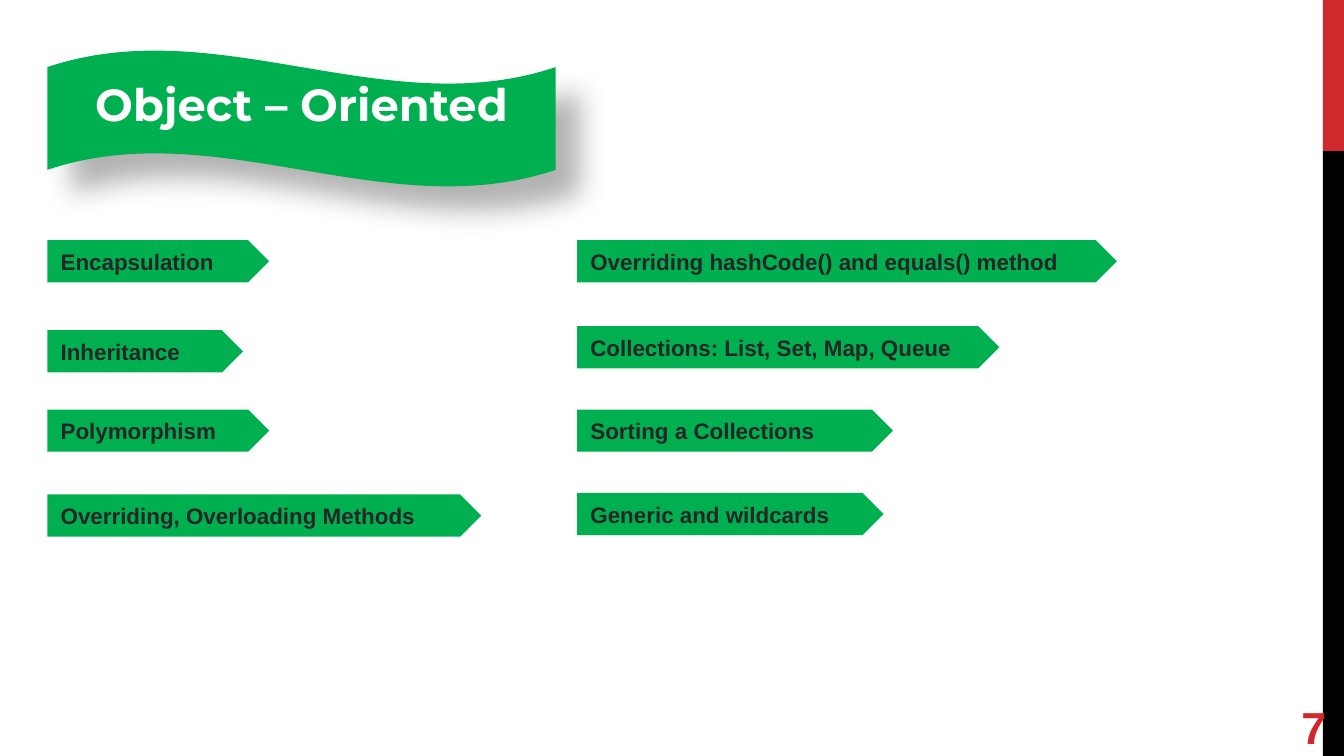
import pptx
import pptx.dml.color
import pptx.enum.shapes
import pptx.enum.text
import pptx.oxml
import pptx.oxml.ns
import pptx.util

Pt = pptx.util.Pt
RGBColor = pptx.dml.color.RGBColor
SHAPE = pptx.enum.shapes.MSO_SHAPE
ALIGN = pptx.enum.text.PP_ALIGN
ANCHOR = pptx.enum.text.MSO_ANCHOR

GREEN = RGBColor(0x00, 0xB0, 0x50)
RED = RGBColor(0xD1, 0x28, 0x2E)
BLACK = RGBColor(0x00, 0x00, 0x00)
WHITE = RGBColor(0xFF, 0xFF, 0xFF)
DARK = RGBColor(0x26, 0x26, 0x26)

WIDTH, HEIGHT = 720, 405
ARROW_HEIGHT = 22.6

LEFT_TOPICS = [
    ("Encapsulation", 0, 118.8),
    ("Inheritance", 48.2, 104.8),
    ("Polymorphism", 90.7, 118.8),
    ("Overriding, Overloading Methods", 136.2, 232.4),
]
RIGHT_TOPICS = [
    ("Overriding hashCode() and equals() method", 0, 289.2),
    ("Collections: List, Set, Map, Queue", 46, 226.2),
    ("Sorting a Collections", 90.7, 169.2),
    ("Generic and wildcards", 135.4, 164.2),
]


def add_shape(slide, kind, x, y, w, h, color):
    sp = slide.shapes.add_shape(kind, Pt(x), Pt(y), Pt(w), Pt(h))
    sp.shadow.inherit = False
    sp.fill.solid()
    sp.fill.fore_color.rgb = color
    sp.line.fill.background()
    return sp


def set_text(sp, text, size=12, font="Arial", color=DARK, align=ALIGN.LEFT, insets=(7.2, 3.6)):
    tf = sp.text_frame
    tf.word_wrap = True
    tf.auto_size = pptx.enum.text.MSO_AUTO_SIZE.NONE
    tf.vertical_anchor = ANCHOR.MIDDLE
    tf.margin_left = tf.margin_right = Pt(insets[0])
    tf.margin_top = tf.margin_bottom = Pt(insets[1])
    p = tf.paragraphs[0]
    p.alignment = align
    r = p.add_run()
    r.text = text
    r.font.size = Pt(size)
    r.font.name = font
    r.font.bold = True
    r.font.color.rgb = color


def add_soft_shadow(sp):
    effects = sp._element.spPr.find(pptx.oxml.ns.qn("a:effectLst"))
    effects.append(pptx.oxml.parse_xml(
        f'<a:outerShdw {pptx.oxml.ns.nsdecls("a")} blurRad="{Pt(15)}" dist="{Pt(18)}" '
        'dir="2700000" algn="tl" rotWithShape="0">'
        '<a:srgbClr val="000000"><a:alpha val="30000"/></a:srgbClr></a:outerShdw>'))


def add_title_banner(slide, x, y, w, h):
    wave = add_shape(slide, SHAPE.WAVE, x, y, w, h, GREEN)
    add_soft_shadow(wave)
    title = slide.shapes.title
    title.left, title.top, title.width, title.height = Pt(x), Pt(y), Pt(w), Pt(h - 16)
    set_text(title, "Object – Oriented", size=24, font="Montserrat", color=WHITE,
             align=ALIGN.CENTER)
    slide.shapes._spTree.append(title._element)


def add_topics(slide, x, y, topics):
    for text, offset, w in topics:
        arrow = add_shape(slide, SHAPE.PENTAGON, x, y + offset, w, ARROW_HEIGHT, GREEN)
        set_text(arrow, text)


def add_side_bar(slide, x, y, w, h):
    accent = h / 5
    add_shape(slide, SHAPE.RECTANGLE, x, y, w, accent, RED)
    add_shape(slide, SHAPE.RECTANGLE, x, y + accent, w, h - accent, BLACK)


def add_page_number(slide, x, y, w, h):
    sp = slide.shapes.add_textbox(Pt(x), Pt(y), Pt(w), Pt(h))
    set_text(sp, "7", size=24, color=RED, align=ALIGN.RIGHT, insets=(0, 0))


def main():
    prs = pptx.Presentation()
    prs.slide_width, prs.slide_height = Pt(WIDTH), Pt(HEIGHT)
    slide = prs.slides.add_slide(prs.slide_layouts.get_by_name("Title Only"))
    add_side_bar(slide, 708.7, 0, 11.3, HEIGHT)
    add_page_number(slide, 667.4, 373.9, 43.2, 31.1)
    add_title_banner(slide, 25.4, 26.8, 272.2, 73.4)
    add_topics(slide, 25.4, 128.7, LEFT_TOPICS)
    add_topics(slide, 309.2, 128.7, RIGHT_TOPICS)
    prs.save("out.pptx")


if __name__ == "__main__":
    main()
